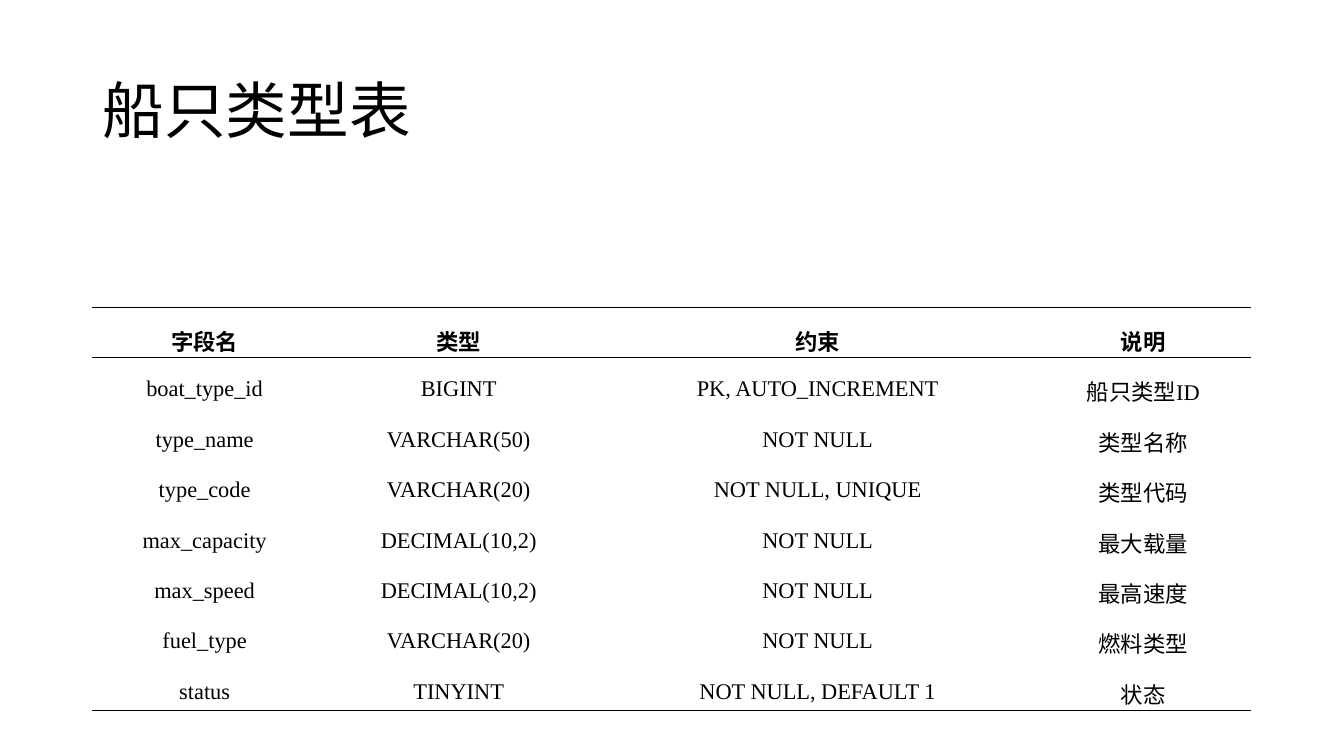
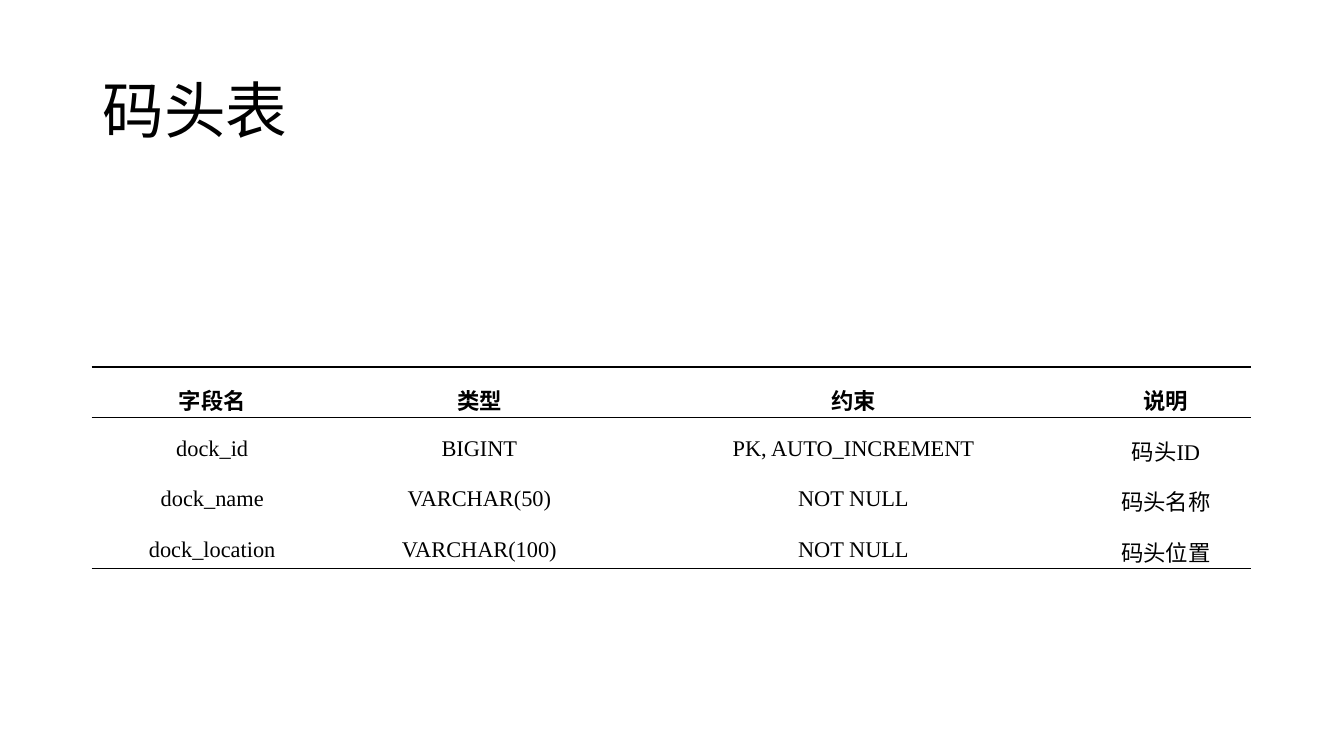
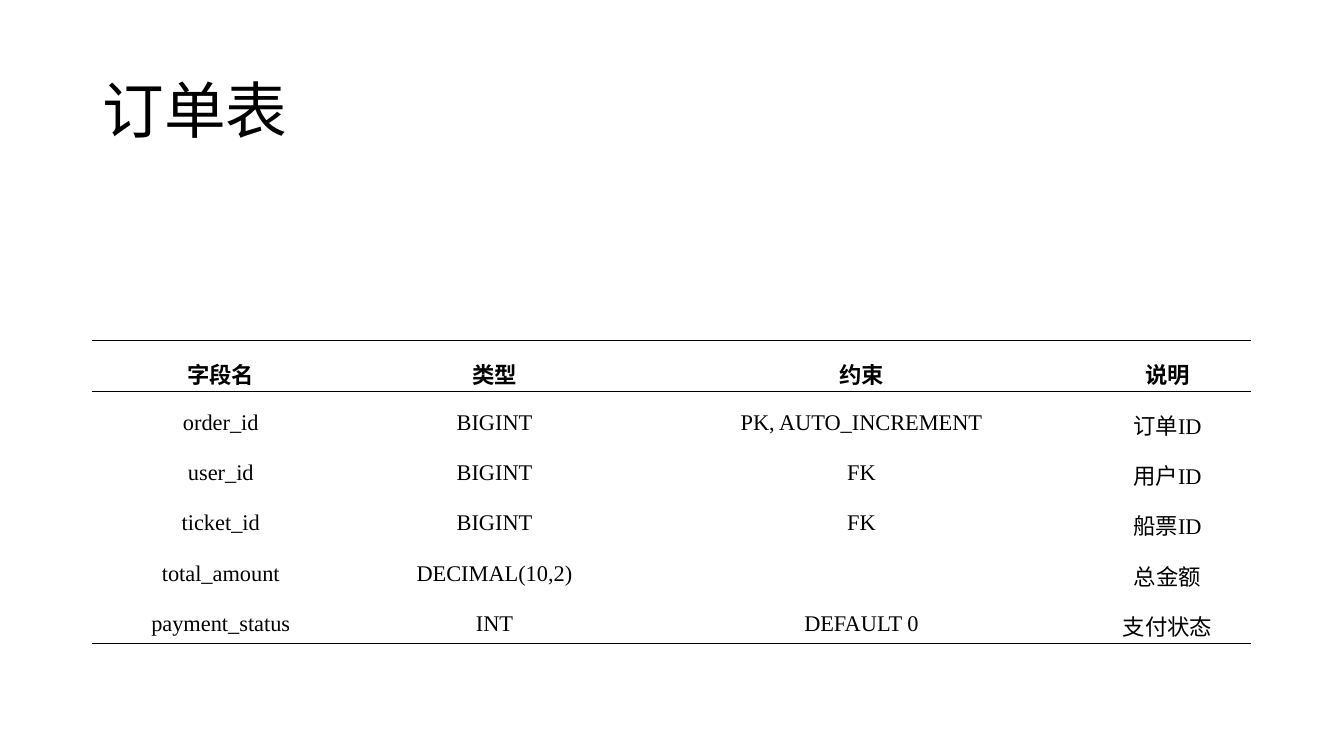
"""Build three slides that describe database tables."""
from pptx import Presentation
from pptx.dml.color import RGBColor
from pptx.enum.text import MSO_ANCHOR, PP_ALIGN
from pptx.oxml import parse_xml
from pptx.oxml.ns import nsdecls
from pptx.util import Inches, Pt

BLACK = RGBColor(0x00, 0x00, 0x00)
FONT = "Times New Roman"
NO_GRID_STYLE = "{2D5ABB26-0587-4C30-8999-92F81FD0307C}"
RULE_WIDTH = Pt(1)

TITLE_BOX = (0.92, 0.4, 11.5, 1.45)
TABLE_LEFT = 0.91
TABLE_WIDTH = 11.5
ROW_HEIGHT = 0.5
TITLE_FONT = {"name": FONT, "size": Pt(44), "bold": False}
BODY_FONT = {"name": FONT, "size": Pt(16), "bold": False}
HEADER_FONT = {**BODY_FONT, "bold": True}
CELL_FORMAT = {
    "vertical_anchor": MSO_ANCHOR.MIDDLE,
    "margin_left": Inches(0.01),
    "margin_right": Inches(0.01),
    "margin_top": Inches(0.01),
    "margin_bottom": Inches(0.01),
}
HEADINGS = ("字段名", "类型", "约束", "说明")

SCHEMAS = [
    {
        "title": "船只类型表",
        "top": 3.05,
        "columns": (2.24, 2.8, 4.32, 2.14),
        "fields": [
            ("boat_type_id", "BIGINT", "PK, AUTO_INCREMENT", "船只类型ID"),
            ("type_name", "VARCHAR(50)", "NOT NULL", "类型名称"),
            ("type_code", "VARCHAR(20)", "NOT NULL, UNIQUE", "类型代码"),
            ("max_capacity", "DECIMAL(10,2)", "NOT NULL", "最大载量"),
            ("max_speed", "DECIMAL(10,2)", "NOT NULL", "最高速度"),
            ("fuel_type", "VARCHAR(20)", "NOT NULL", "燃料类型"),
            ("status", "TINYINT", "NOT NULL, DEFAULT 1", "状态"),
        ],
    },
    {
        "title": "码头表",
        "top": 3.64,
        "columns": (2.39, 2.91, 4.51, 1.69),
        "fields": [
            ("dock_id", "BIGINT", "PK, AUTO_INCREMENT", "码头ID"),
            ("dock_name", "VARCHAR(50)", "NOT NULL", "码头名称"),
            ("dock_location", "VARCHAR(100)", "NOT NULL", "码头位置"),
        ],
    },
    {
        "title": "订单表",
        "top": 3.38,
        "columns": (2.56, 2.87, 4.41, 1.66),
        "fields": [
            ("order_id", "BIGINT", "PK, AUTO_INCREMENT", "订单ID"),
            ("user_id", "BIGINT", "FK", "用户ID"),
            ("ticket_id", "BIGINT", "FK", "船票ID"),
            ("total_amount", "DECIMAL(10,2)", "", "总金额"),
            ("payment_status", "INT", "DEFAULT 0", "支付状态"),
        ],
    },
]


def apply_format(target, values):
    """Set each attribute of the target from a dict."""
    for attribute, value in values.items():
        setattr(target, attribute, value)


def write_line(paragraph, wording, font_format, spacing, alignment):
    """Write one formatted line of text into a paragraph."""
    paragraph.line_spacing = spacing
    paragraph.alignment = alignment
    paragraph.font.size = font_format["size"]
    if wording:
        run = paragraph.add_run()
        run.text = wording
        apply_format(run.font, font_format)
        run.font.color.rgb = BLACK


def add_rule(cell, side):
    """Draw a black rule on one side of a cell, 'T' or 'B'."""
    rule = parse_xml(
        f'<a:ln{side} {nsdecls("a")} w="{RULE_WIDTH}"><a:solidFill>'
        f'<a:srgbClr val="{BLACK}"/></a:solidFill></a:ln{side}>'
    )
    cell._tc.get_or_add_tcPr().insert(0, rule)


def add_title(slide, box, wording):
    """Place the slide title in its box."""
    frame = slide.shapes.add_textbox(*map(Inches, box)).text_frame
    apply_format(frame, {"word_wrap": True, "vertical_anchor": MSO_ANCHOR.MIDDLE})
    write_line(frame.paragraphs[0], wording, TITLE_FONT, 0.9, PP_ALIGN.LEFT)


def add_field_table(slide, box, column_widths, rows):
    """Place a three-rule table, headings first, in its box."""
    frame = slide.shapes.add_table(len(rows), len(HEADINGS), *map(Inches, box))
    table = frame.table
    apply_format(table, {"first_row": False, "horz_banding": False})
    table._tbl.tblPr.find("{*}tableStyleId").text = NO_GRID_STYLE
    for column, width in zip(table.columns, column_widths):
        column.width = Inches(width)
    for row_index, row in enumerate(rows):
        is_header = row_index == 0
        for column_index, wording in enumerate(row):
            cell = table.cell(row_index, column_index)
            apply_format(cell, CELL_FORMAT)
            cell.fill.background()
            write_line(cell.text_frame.paragraphs[0], wording,
                       HEADER_FONT if is_header else BODY_FONT, 1.5, PP_ALIGN.CENTER)
            if is_header or row_index == len(rows) - 1:
                add_rule(cell, "B")
            if is_header:
                add_rule(cell, "T")


def add_schema_slide(deck, schema):
    """Add one slide with a title and a table of fields."""
    slide = deck.slides.add_slide(deck.slide_layouts[6])
    rows = [HEADINGS, *schema["fields"]]
    table_box = (TABLE_LEFT, schema["top"], TABLE_WIDTH, ROW_HEIGHT * len(rows))
    add_title(slide, TITLE_BOX, schema["title"])
    add_field_table(slide, table_box, schema["columns"], rows)


def main():
    """Build and save the deck."""
    deck = Presentation()
    apply_format(deck, {"slide_width": Inches(13.33), "slide_height": Inches(7.5)})
    for schema in SCHEMAS:
        add_schema_slide(deck, schema)
    deck.save("out.pptx")


if __name__ == "__main__":
    main()
